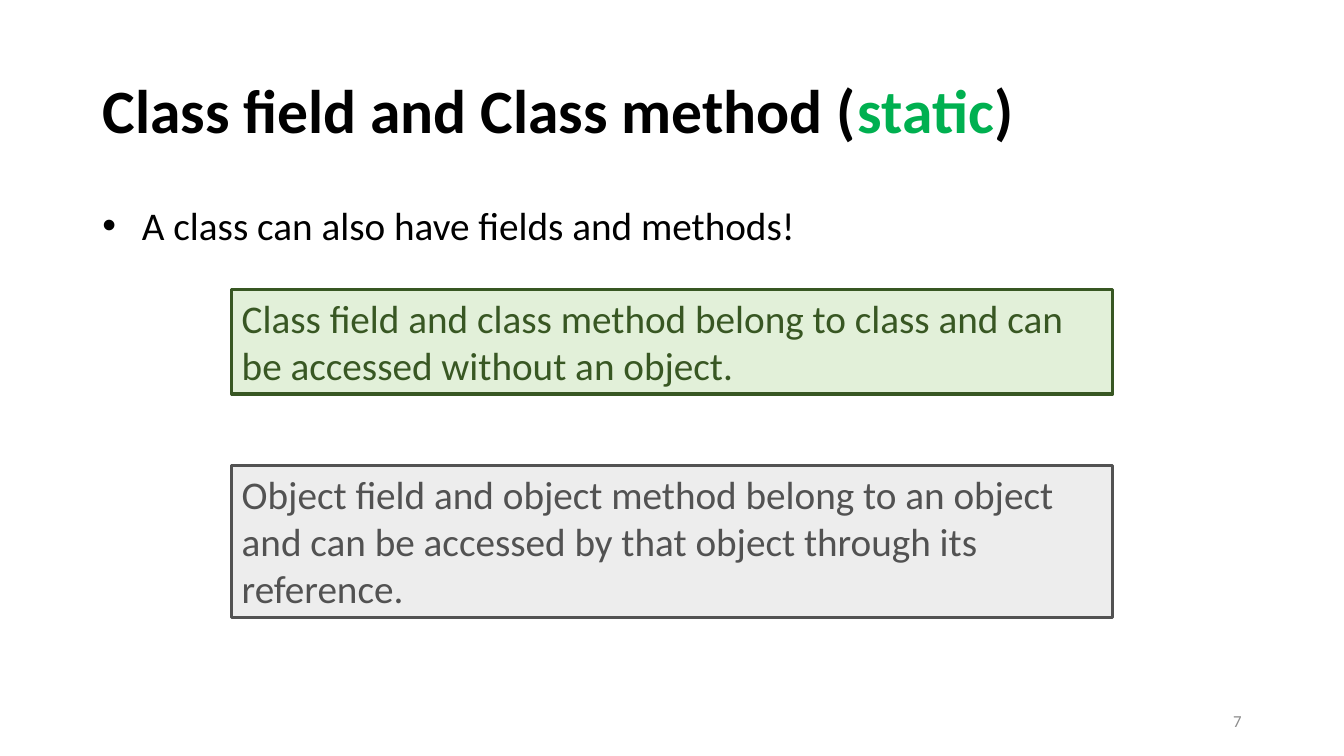
from lxml import etree
from pptx import Presentation
from pptx.dml.color import RGBColor
from pptx.enum.shapes import MSO_SHAPE
from pptx.enum.text import MSO_ANCHOR, MSO_AUTO_SIZE, PP_ALIGN
from pptx.oxml.ns import qn
from pptx.util import Pt

RECTANGLE = MSO_SHAPE.RECTANGLE
TOP, MIDDLE = MSO_ANCHOR.TOP, MSO_ANCHOR.MIDDLE
LEFT, RIGHT = PP_ALIGN.LEFT, PP_ALIGN.RIGHT
NO_AUTOSIZE = MSO_AUTO_SIZE.NONE

FONT = "Calibri"
BLACK, GREEN = "000000", "00B050"
MARGIN, CONTENT_WIDTH = 66, 828
BULLET_INDENT = 28.35
CALLOUT_LEFT, CALLOUT_WIDTH = 165.6, 629.3


def color(hex_string):
    return RGBColor.from_string(hex_string)


def add_run(para, text, size, hex_color, bold=False):
    span = para.add_run()
    span.text = text
    span.font.name = FONT
    span.font.size = Pt(size)
    span.font.bold = bold
    span.font.color.rgb = color(hex_color)


def prepare_text(box, anchor, align=LEFT):
    """Set up the box's text frame and return its first paragraph."""
    frame = box.text_frame
    frame.word_wrap = True
    frame.auto_size = NO_AUTOSIZE
    frame.vertical_anchor = anchor
    para = frame.paragraphs[0]
    para.alignment = align
    return para


def fill_title(page):
    title = page.shapes.title
    title.left, title.top = Pt(MARGIN), Pt(28.8)
    title.width, title.height = Pt(CONTENT_WIDTH), Pt(104.4)
    para = prepare_text(title, MIDDLE)
    para.line_spacing = 0.9
    for text, hex_color in (
        ("Class field and Class method (", BLACK),
        ("static", GREEN),
        (")", BLACK),
    ):
        add_run(para, text, 44, hex_color, bold=True)


def add_text_box(page, left, top, width, height, anchor=TOP, align=LEFT):
    box = page.shapes.add_textbox(Pt(left), Pt(top), Pt(width), Pt(height))
    return prepare_text(box, anchor, align)


def add_bullet(para):
    properties = para._p.get_or_add_pPr()
    properties.set("marL", str(Pt(BULLET_INDENT)))
    properties.set("indent", str(-Pt(BULLET_INDENT)))
    etree.SubElement(properties, qn("a:buFont")).set("typeface", "Arial")
    etree.SubElement(properties, qn("a:buChar")).set("char", "•")


def add_callout(page, top, height, text, fill, ink):
    box = page.shapes.add_shape(
        RECTANGLE, Pt(CALLOUT_LEFT), Pt(top), Pt(CALLOUT_WIDTH), Pt(height)
    )
    box.shadow.inherit = False
    box.fill.solid()
    box.fill.fore_color.rgb = color(fill)
    box.line.color.rgb = color(ink)
    box.line.width = Pt(2.25)
    add_run(prepare_text(box, TOP), text, 28, ink)


def main():
    deck = Presentation()
    deck.slide_width, deck.slide_height = Pt(960), Pt(540)
    page = deck.slides.add_slide(deck.slide_layouts[5])

    fill_title(page)

    point = add_text_box(page, MARGIN, 144, CONTENT_WIDTH, 342.7)
    add_bullet(point)
    point.line_spacing = 0.9
    add_run(point, "A class can also have fields and methods!", 28, BLACK)

    add_callout(
        page, 206.6, 74.9,
        "Class field and class method belong to class and can be accessed "
        "without an object.",
        "E2F0D9", "385723",
    )
    add_callout(
        page, 332.6, 108.7,
        "Object field and object method belong to an object and can be "
        "accessed by that object through its reference.",
        "EDEDED", "525252",
    )

    number = add_text_box(page, 678, 500.5, 216, 28.75, MIDDLE, RIGHT)
    add_run(number, "7", 12, "8C8C8C")

    deck.save("out.pptx")


if __name__ == "__main__":
    main()
